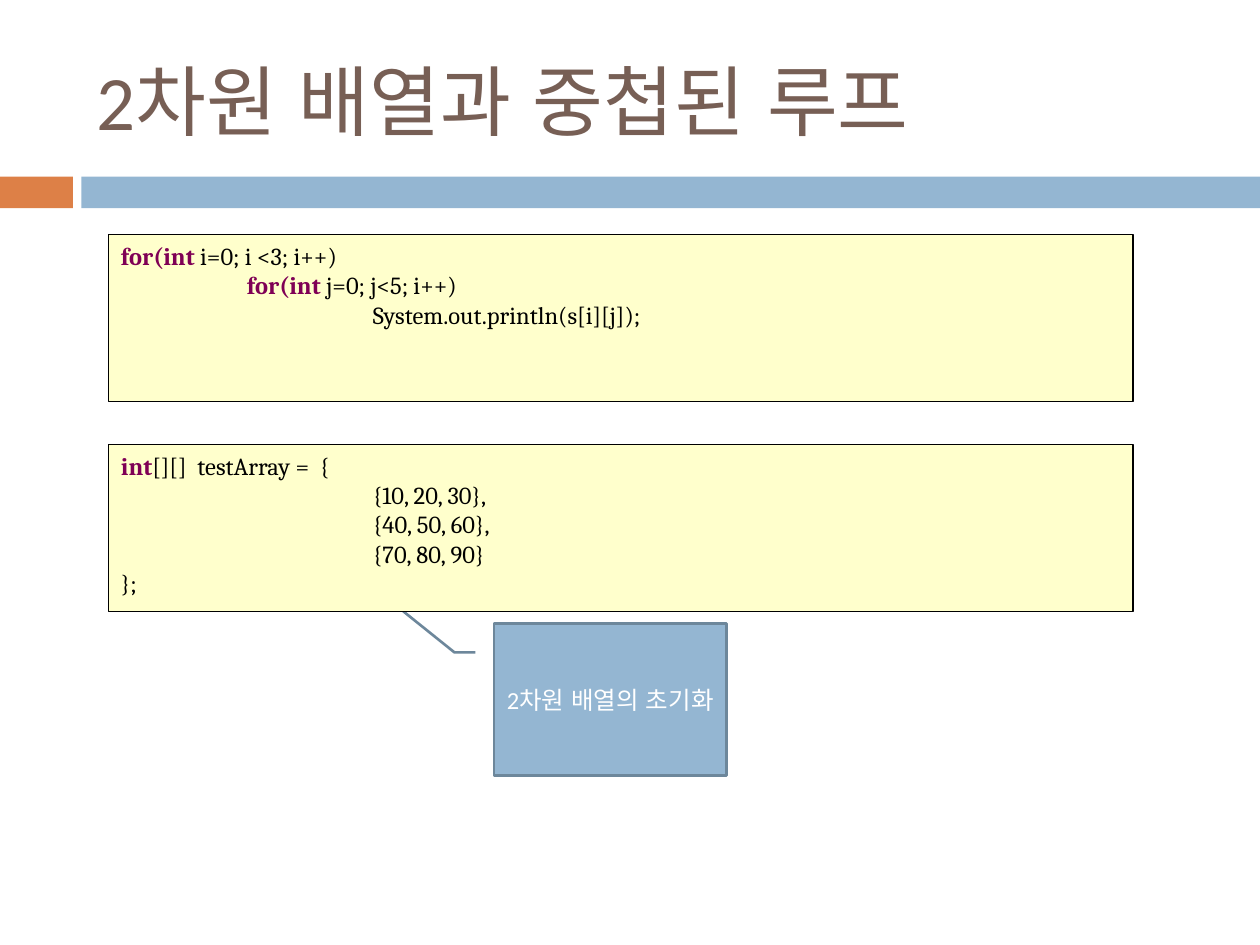
from lxml import etree
from pptx import Presentation
from pptx.dml.color import RGBColor
from pptx.enum.lang import MSO_LANGUAGE_ID
from pptx.enum.shapes import MSO_SHAPE
from pptx.enum.text import MSO_ANCHOR, PP_ALIGN
from pptx.oxml.ns import qn
from pptx.util import Cm, Pt

RECT, CALLOUT = MSO_SHAPE.RECTANGLE, MSO_SHAPE.LINE_CALLOUT_2
TOP, MID = MSO_ANCHOR.TOP, MSO_ANCHOR.MIDDLE
LEFT, CENTER = PP_ALIGN.LEFT, PP_ALIGN.CENTER
KOREAN = MSO_LANGUAGE_ID.KOREAN

HUES = {
    "blue": "94B6D2", "edge": "6D879B", "orange": "DD8047",
    "cream": "FFFFCC", "brown": "775F55", "key": "7F0055",
    "black": "000000", "white": "FFFFFF",
}


def rgb(name):
    return RGBColor.from_string(HUES[name])


def add_box(slide, box, fill, line=None, width=0.75, kind=RECT):
    shape = slide.shapes.add_shape(kind, *map(Cm, box))
    shape.shadow.inherit = False
    shape.fill.solid()
    shape.fill.fore_color.rgb = rgb(fill)
    if line:
        shape.line.color.rgb = rgb(line)
        shape.line.width = Pt(width)
    else:
        shape.line.fill.background()
    return shape


def write(shape, lines, font, size, anchor=TOP, align=LEFT):
    """Each line is a list of (text, colour, bold) runs."""
    frame = shape.text_frame
    frame.word_wrap = True
    frame.vertical_anchor = anchor
    for i, runs in enumerate(lines):
        para = frame.add_paragraph() if i else frame.paragraphs[0]
        para.alignment = align
        for text, hue, bold in runs:
            run = para.add_run()
            run.text = text
            run.font.name = font
            run.font.size = Pt(size)
            run.font.bold = bold
            run.font.color.rgb = rgb(hue)
            run.font.language_id = KOREAN


def set_tabs(shape, step, count):
    for para in shape.text_frame.paragraphs:
        stops = etree.SubElement(para._p.get_or_add_pPr(), qn("a:tabLst"))
        for n in range(1, count + 1):
            etree.SubElement(stops, qn("a:tab"), pos=str(Cm(step * n)), algn="l")


def add_bands(slide, box):
    left, top, width, height = box
    tab, gap = 1.47, 0.17
    start = tab + gap
    add_box(slide, (left, top, tab, height), "orange")
    add_box(slide, (left + start, top, width - start, height), "blue")


def add_title(slide, box, text):
    shape = slide.shapes.add_textbox(*map(Cm, box))
    write(shape, [[(text, "brown", False)]], "Calibri", 44, MID)


def add_code(slide, box, lines):
    shape = add_box(slide, box, "cream", "black")
    write(shape, lines, "Cambria", 14)
    set_tabs(shape, 2.54, 2)


def add_note(slide, box, text):
    shape = add_box(slide, box, "blue", "edge", 1.5, CALLOUT)
    # Leader line as (y, x) pairs, in shares of the box
    for i, part in enumerate((0.19, -0.08, 0.19, -0.17, -0.08, -0.39)):
        shape.adjustments[i] = part
    write(shape, [[(text, "white", False)]], "Calibri", 14, MID, CENTER)


def key(text):
    return text, "key", True


def code(text):
    return text, "black", False


LOOP = [
    [key("for(int"), code(" i=0; i <3; i++)")],
    [code("\t"), key("for(int"), code(" j=0; j<5; i++)")],
    [code("\t\tSystem.out.println(s[i][j]);")],
]
ARRAY = [
    [key("int"), code("[][]  testArray =  {")],
    [code("\t\t{10, 20, 30},")],
    [code("\t\t{40, 50, 60},")],
    [code("\t\t{70, 80, 90}")],
    [code("};")],
]


def main():
    deck = Presentation()
    deck.slide_width, deck.slide_height = Cm(25.4), Cm(19.05)
    slide = deck.slides.add_slide(deck.slide_layouts[6])

    # Header
    add_bands(slide, (0, 3.56, 25.4, 0.64))
    add_title(slide, (1.7, 0.64, 22.66, 2.74), "2차원 배열과 중첩된 루프")

    # Code panels and the note on the second one
    add_code(slide, (2.19, 4.73, 20.65, 3.37), LOOP)
    add_note(slide, (9.96, 12.57, 4.69, 3.07), "2차원 배열의 초기화")
    add_code(slide, (2.19, 8.96, 20.65, 3.37), ARRAY)

    deck.save("out.pptx")


if __name__ == "__main__":
    main()
